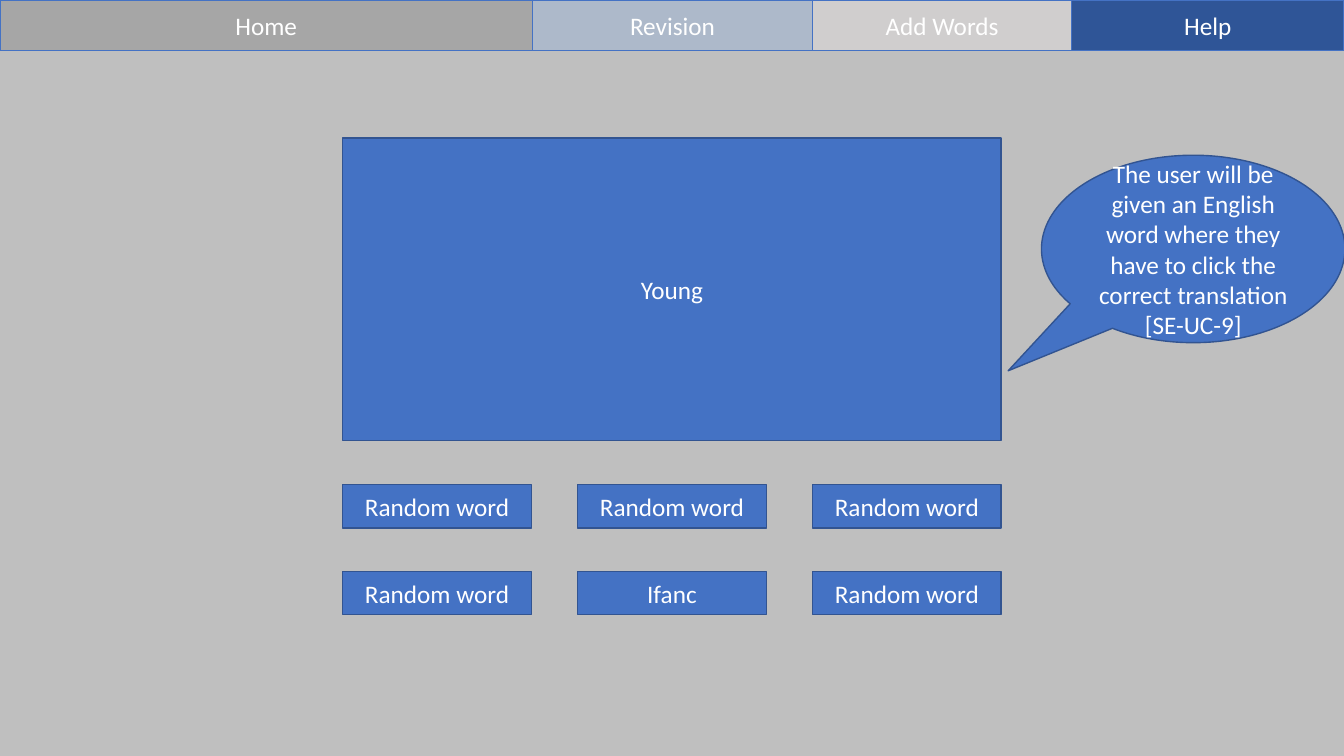
from pptx import Presentation
from pptx import util as u
from pptx.dml.color import RGBColor
from pptx.enum import shapes, text

BACK = RGBColor(0xBF, 0xBF, 0xBF)
BLUE = RGBColor(0x44, 0x72, 0xC4)
EDGE = RGBColor(0x32, 0x54, 0x91)
WHITE = RGBColor(0xFF, 0xFF, 0xFF)
GREY = RGBColor(0xA6, 0xA6, 0xA6)
STEEL = RGBColor(0xAD, 0xB9, 0xCA)
PALE = RGBColor(0xD0, 0xCE, 0xCE)
NAVY = RGBColor(0x2F, 0x55, 0x97)
RECT = shapes.MSO_SHAPE.RECTANGLE
BUBBLE = shapes.MSO_SHAPE.OVAL_CALLOUT

deck = Presentation()
deck.slide_width, deck.slide_height = u.Inches(13.33), u.Inches(7.5)
slide = deck.slides.add_slide(deck.slide_layouts[6])
slide.background.fill.solid()
slide.background.fill.fore_color.rgb = BACK


def label(words, box, kind=RECT, fill=BLUE, edge=EDGE, size=18):
    shape = slide.shapes.add_shape(kind, *[u.Inches(n) for n in box])
    shape.shadow.inherit = False
    shape.fill.solid()
    shape.fill.fore_color.rgb = fill
    shape.line.color.rgb = edge
    shape.line.width = u.Pt(1)
    frame = shape.text_frame
    frame.word_wrap = True
    frame.vertical_anchor = text.MSO_ANCHOR.MIDDLE
    para = frame.paragraphs[0]
    para.alignment = text.PP_ALIGN.CENTER
    run = para.add_run()
    run.text = words
    run.font.name = "Calibri"
    run.font.size = u.Pt(size)
    run.font.color.rgb = WHITE
    return shape


# Menu bar
left = 0
for name, width, fill in [("Home", 5.28, GREY), ("Revision", 2.78, STEEL),
                          ("Add Words", 2.57, PALE), ("Help", 2.7, NAVY)]:
    label(name, (left, 0, width, 0.5), fill=fill, edge=BLUE)
    left += width

# Grid of three columns shared by the word card and the answers
edge, wide, high = 3.4, 1.87, 0.43
step, drop = 2.33, 2 * high

# Word card
label("Young", (edge, 1.37, 2 * step + wide, 3))

# Answers
words = [["Random word", "Random word", "Random word"],
         ["Random word", "Ifanc", "Random word"]]
for row, line in enumerate(words):
    for col, word in enumerate(line):
        label(word, (edge + col * step, 4.81 + row * drop, wide, high))

# Speech bubble
note = label("The user will be given an English word where they have to click "
             "the correct translation [SE-UC-9]",
             (10.33, 1.54, 3.01, 1.86), kind=BUBBLE)
note.adjustments[0] = -0.61
note.adjustments[1] = 0.65

deck.save("out.pptx")
